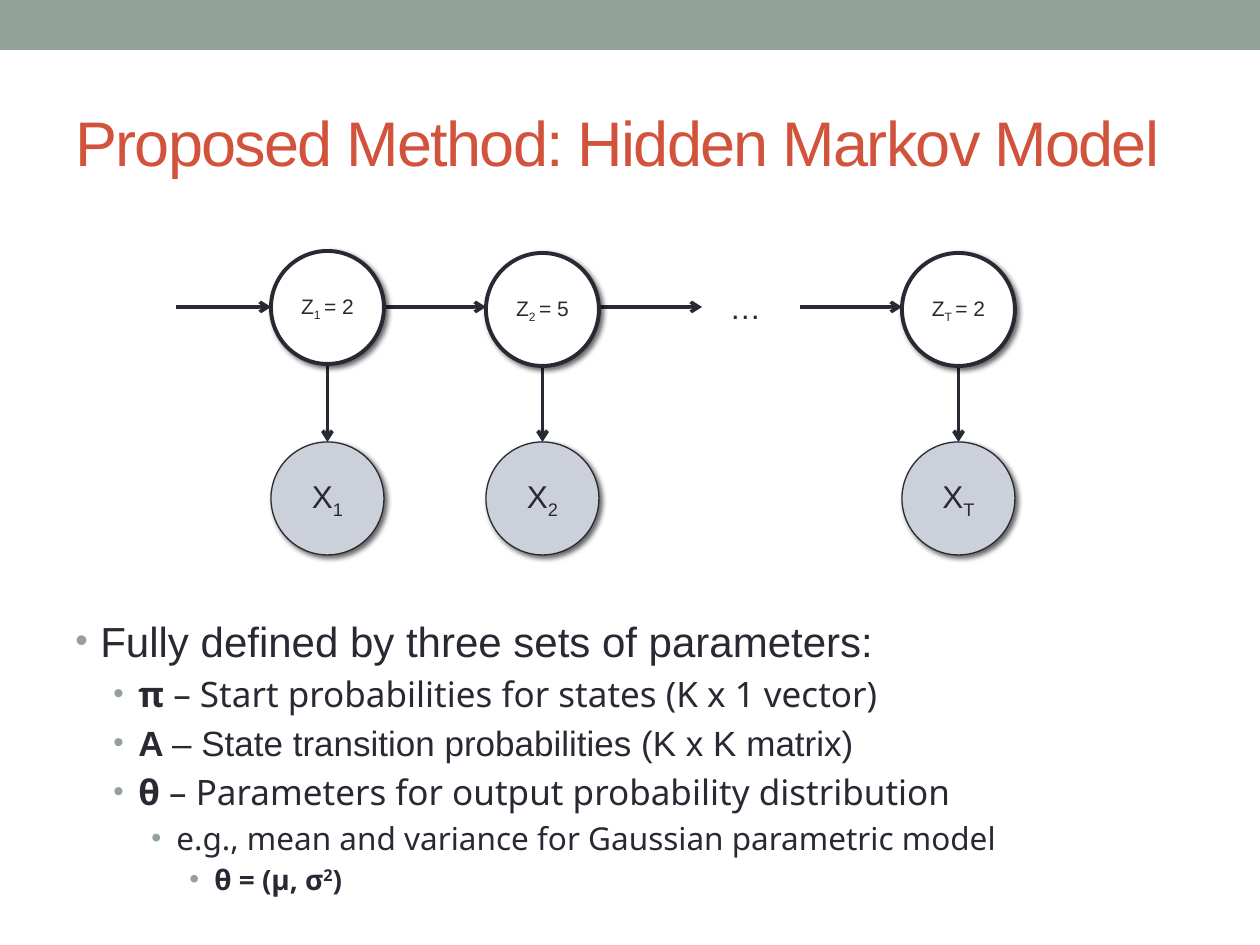
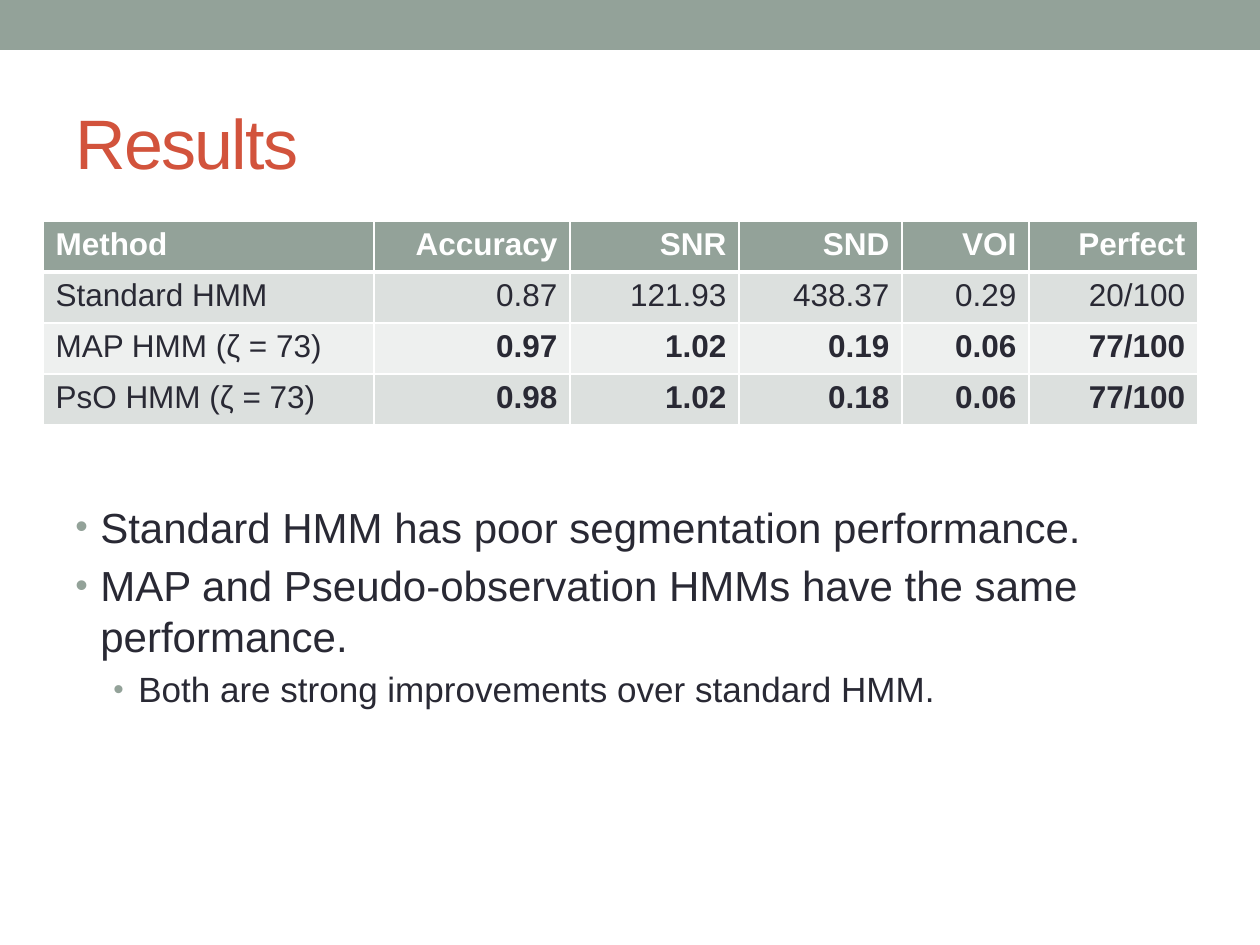
from lxml.etree import SubElement
from pptx import Presentation
from pptx.dml.color import RGBColor
from pptx.enum.shapes import MSO_CONNECTOR, MSO_SHAPE
from pptx.enum.text import MSO_ANCHOR, PP_ALIGN
from pptx.oxml.ns import qn
from pptx.util import Emu, Pt

PX_PER_INCH = 126
WIDTH, HEIGHT = 1260, 945
COLORS = {
    "band": "93A299", "title": "D2533C", "ink": "292934", "paper": "FFFFFF",
    "observed": "CCD1D9", "row_dark": "DCE0DE", "row_light": "EEF0EF",
    "shadow": "000000",
}
SANS, GREEK = "Arial", "Noto Sans"
LEVEL_SIZES = (24, 20, 18, 16)
BULLET_PERCENTS = (85, 85, 90, 100)
CIRCLE = 113


def px(length):
    return Emu(round(length * 914400 / PX_PER_INCH))


def color(name):
    return RGBColor.from_string(COLORS[name])


def add_xml(parent, tag, **attributes):
    return SubElement(parent, qn(tag), {key: str(value) for key, value in attributes.items()})


def add_color_xml(parent, name):
    return add_xml(parent, "a:srgbClr", val=COLORS[name])


class SlideBuilder:
    """Holds the deck, its style and the slide being filled."""

    def __init__(self):
        self.deck = Presentation()
        self.deck.slide_width, self.deck.slide_height = px(WIDTH), px(HEIGHT)
        self.page = None

    def start_page(self, title, size):
        self.page = self.deck.slides.add_slide(self.deck.slide_layouts[6])
        self.shape(MSO_SHAPE.RECTANGLE, 0, 0, WIDTH, 50, "band")
        frame = self.text_box(63, 73, 1134, 136)
        frame.vertical_anchor = MSO_ANCHOR.MIDDLE
        self.add_spans(frame.paragraphs[0], [(title, {})], size, "title")
        for span in frame.paragraphs[0].runs:
            span.font._element.set("spc", "-100")

    def add_spans(self, para, spans, size, ink="ink", font=SANS):
        """Add (text, style) spans; a style may give bold and a baseline percent."""
        for text, style in spans:
            span = para.add_run()
            span.text = text
            span.font.size, span.font.name = Pt(size), font
            span.font.color.rgb = color(ink)
            span.font.bold = style.get("bold", False)
            if "baseline" in style:
                span.font._element.set("baseline", str(style["baseline"] * 1000))

    def text_box(self, left, top, width, height):
        box = self.page.shapes.add_textbox(px(left), px(top), px(width), px(height))
        box.text_frame.word_wrap = True
        return box.text_frame

    def shape(self, kind, left, top, width, height, fill):
        shape = self.page.shapes.add_shape(kind, px(left), px(top), px(width), px(height))
        shape.shadow.inherit = False
        shape.fill.solid()
        shape.fill.fore_color.rgb = color(fill)
        shape.line.fill.background()
        return shape

    def circle(self, left, top, fill, line_width, spans, size):
        circle = self.shape(MSO_SHAPE.OVAL, left, top, CIRCLE, CIRCLE, fill)
        circle.line.color.rgb = color("ink")
        circle.line.width = Pt(line_width)
        effects = circle._element.spPr.find(qn("a:effectLst"))
        shadow = add_xml(effects, "a:outerShdw", blurRad=Pt(3), dist=Pt(2),
                         dir=45 * 60000, rotWithShape=0)
        add_xml(add_color_xml(shadow, "shadow"), "a:alpha", val=60000)
        frame = circle.text_frame
        frame.word_wrap = False
        frame.vertical_anchor = MSO_ANCHOR.MIDDLE
        frame.paragraphs[0].alignment = PP_ALIGN.CENTER
        self.add_spans(frame.paragraphs[0], spans, size)

    def arrow(self, x1, y1, x2, y2):
        arrow = self.page.shapes.add_connector(
            MSO_CONNECTOR.STRAIGHT, px(x1), px(y1), px(x2), px(y2))
        arrow.line.color.rgb = color("ink")
        arrow.line.width = Pt(2.08)
        add_xml(arrow.line._get_or_add_ln(), "a:tailEnd", type="arrow")
        add_xml(arrow._element.spPr, "a:effectLst")

    def bullets(self, top, height, items):
        """Add (level, font, spans) items as an indented list."""
        frame = self.text_box(63, top, 1134, height)
        for index, (level, font, spans) in enumerate(items):
            para = frame.add_paragraph() if index else frame.paragraphs[0]
            para.level = level
            properties = para._p.get_or_add_pPr()
            properties.set("marL", str(px(25 + 38 * level)))
            properties.set("indent", str(px(-25)))
            add_xml(add_xml(properties, "a:spcBef"), "a:spcPct", val=20000)
            add_color_xml(add_xml(properties, "a:buClr"), "band")
            add_xml(properties, "a:buSzPct", val=BULLET_PERCENTS[level] * 1000)
            add_xml(properties, "a:buFont", typeface=SANS)
            add_xml(properties, "a:buChar", char="•")
            self.add_spans(para, spans, LEVEL_SIZES[level], font=font)

    def cell_borders(self, cell, top, bottom):
        properties = cell._tc.get_or_add_tcPr()
        for side, width in (("L", 1), ("R", 1), ("T", top), ("B", bottom)):
            line = add_xml(properties, f"a:ln{side}", w=Pt(width))
            add_color_xml(add_xml(line, "a:solidFill"), "paper")

    def table(self, left, top, widths, row_height, rows, bold_from):
        """Draw a header row and striped rows; values are bold from row bold_from on."""
        table = self.page.shapes.add_table(
            len(rows), len(widths), px(left), px(top),
            px(sum(widths)), px(row_height * len(rows))).table
        for column, width in zip(table.columns, widths):
            column.width = px(width)
        for r, values in enumerate(rows):
            table.rows[r].height = px(row_height)
            header = r == 0
            fill = "band" if header else "row_dark" if r % 2 else "row_light"
            for c, value in enumerate(values):
                cell = table.cell(r, c)
                self.cell_borders(cell, 3 if r == 1 else 1, 3 if header else 1)
                cell.fill.solid()
                cell.fill.fore_color.rgb = color(fill)
                para = cell.text_frame.paragraphs[0]
                para.alignment = PP_ALIGN.RIGHT if c else PP_ALIGN.LEFT
                bold = header or (c > 0 and r >= bold_from)
                self.add_spans(para, [(value, {"bold": bold})], 18, "paper" if header else "ink")


def build_model_page(builder):
    builder.start_page("Proposed Method: Hidden Markov Model", 36)
    chain_y, observed_top = 307, 442
    steps = [(271, 251, "1", "2"), (486, 253, "2", "5"), (902, 253, "T", "2")]
    for x1, x2 in ((176, 271), (384, 486), (600, 702), (800, 902)):
        builder.arrow(x1, chain_y, x2, chain_y)
    for left, top, step, state in steps:
        center = left + CIRCLE / 2
        builder.arrow(center, 364, center, observed_top)
        hidden = [("Z", {}), (f"{step} ", {"baseline": -25}), (f"= {state}", {})]
        builder.circle(left, top, "paper", 2.25, hidden, 12)
        observed = [("X", {}), (step, {"baseline": -25})]
        builder.circle(left, observed_top, "observed", 0.75, observed, 18)
    dots = builder.text_box(702, 282, 87, 50).paragraphs[0]
    dots.alignment = PP_ALIGN.CENTER
    builder.add_spans(dots, [("…", {})], 18)

    bold = {"bold": True}
    builder.bullets(609, 285, [
        (0, SANS, [("Fully defined by three sets of parameters:", {})]),
        (1, GREEK, [("π ", bold), ("– Start probabilities for states (K x 1 vector)", {})]),
        (1, SANS, [("A ", bold), ("– State transition probabilities (K x K matrix)", {})]),
        (1, GREEK, [("θ", bold), (" – Parameters for output probability distribution", {})]),
        (2, GREEK, [("e.g., mean and variance for Gaussian parametric model", {})]),
        (3, GREEK, [("θ = (μ, σ", bold), ("2", {"bold": True, "baseline": 30}), (")", bold)]),
    ])


def build_results_page(builder):
    builder.start_page("Results", 40)
    builder.table(43, 221, (331, 196, 169, 163, 127, 169), 51, [
        ("Method", "Accuracy", "SNR", "SND", "VOI", "Perfect"),
        ("Standard HMM", "0.87", "121.93", "438.37", "0.29", "20/100"),
        ("MAP HMM (ζ = 73)", "0.97", "1.02", "0.19", "0.06", "77/100"),
        ("PsO HMM (ζ = 73)", "0.98", "1.02", "0.18", "0.06", "77/100"),
    ], bold_from=2)
    builder.bullets(495, 239, [
        (0, SANS, [("Standard HMM has poor segmentation performance.", {})]),
        (0, SANS, [("MAP and Pseudo-observation HMMs have the same performance.", {})]),
        (1, SANS, [("Both are strong improvements over standard HMM.", {})]),
    ])


def main():
    builder = SlideBuilder()
    build_model_page(builder)
    build_results_page(builder)
    builder.deck.save("out.pptx")


if __name__ == "__main__":
    main()
